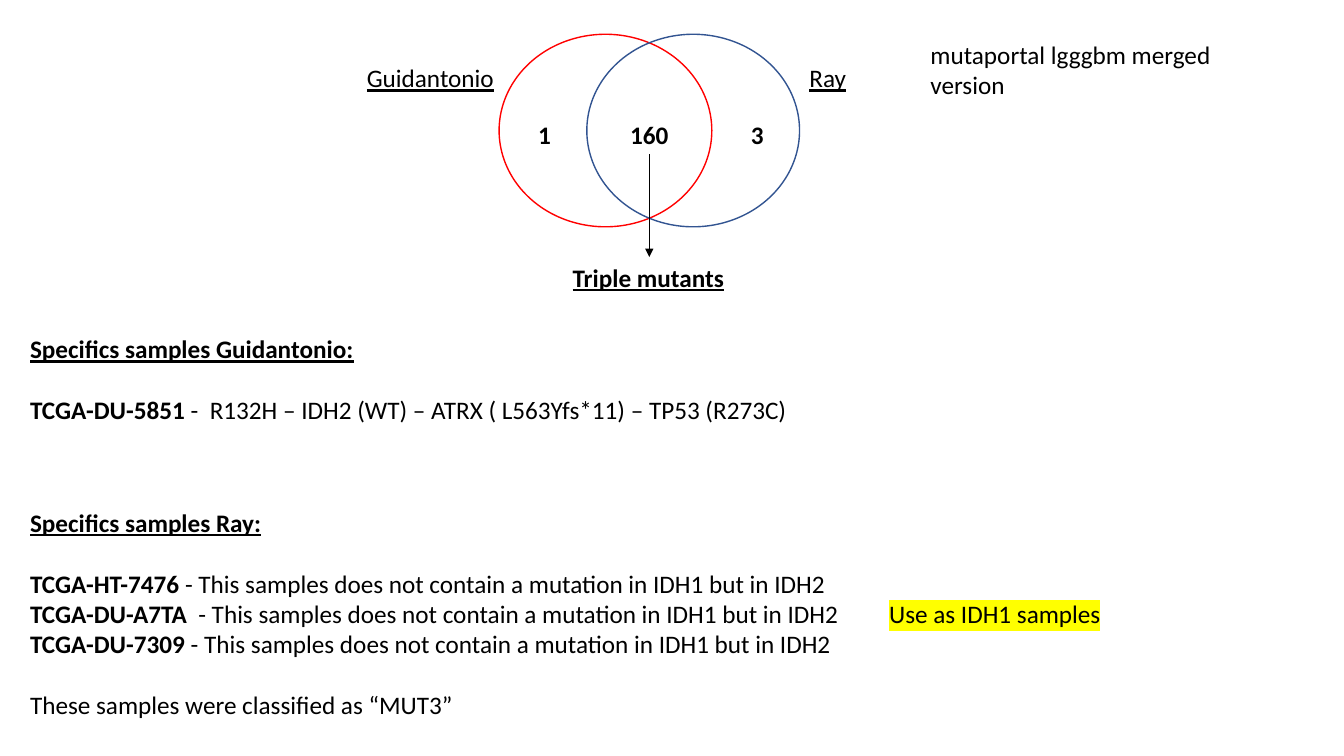
import collections

import lxml.etree
import pptx
import pptx.dml.color
import pptx.enum.shapes
import pptx.enum.text
import pptx.oxml
import pptx.oxml.ns
import pptx.util

PX = 9144  # EMU per px, 100 px to the inch
LINE_HEIGHT = 40

Box = collections.namedtuple("Box", "left top width height")
Words = collections.namedtuple("Words", "text bold underline", defaults=(False, False))
Line = collections.namedtuple("Line", "words gap", defaults=(False,))


class Theme:
    font = "Calibri"
    size = pptx.util.Pt(18)
    gap = pptx.util.Pt(22)
    ink = pptx.dml.color.RGBColor.from_string("000000")
    guidantonio = pptx.dml.color.RGBColor.from_string("FF0000")
    ray = pptx.dml.color.RGBColor.from_string("325491")
    highlight = "FFFF00"
    circle_line = pptx.util.Pt(1)
    arrow_line = pptx.util.Pt(0.5)


def emu(*lengths):
    return [length * PX for length in lengths]


def highlight(run):
    """Mark the run's background; the mark must precede the font element."""
    latin = run.font._element.find(pptx.oxml.ns.qn("a:latin"))
    mark = lxml.etree.Element(pptx.oxml.ns.qn("a:highlight"))
    colour = lxml.etree.SubElement(mark, pptx.oxml.ns.qn("a:srgbClr"))
    colour.set("val", Theme.highlight)
    latin.addprevious(mark)


def add_text(slide, box, lines, centred=False, marked=False):
    frame = slide.shapes.add_textbox(*emu(*box)).text_frame
    frame.word_wrap = True
    frame.auto_size = pptx.enum.text.MSO_AUTO_SIZE.SHAPE_TO_FIT_TEXT
    for index, line in enumerate(lines):
        paragraph = frame.add_paragraph() if index else frame.paragraphs[0]
        if centred:
            paragraph.alignment = pptx.enum.text.PP_ALIGN.CENTER
        if line.gap:
            paragraph.space_before = Theme.gap
        for words in line.words:
            run = paragraph.add_run()
            run.text = words.text
            run.font.size = Theme.size
            run.font.bold = words.bold
            run.font.underline = words.underline
            run.font.color.rgb = Theme.ink
            run.font.name = Theme.font
            if marked:
                highlight(run)


def add_label(slide, box, text, bold=False, underline=False, **look):
    add_text(slide, box, [Line([Words(text, bold, underline)])], **look)


def add_circle(slide, box, colour):
    circle = slide.shapes.add_shape(pptx.enum.shapes.MSO_SHAPE.OVAL, *emu(*box))
    circle.shadow.inherit = False
    circle.fill.background()
    circle.line.color.rgb = colour
    circle.line.width = Theme.circle_line


def add_down_arrow(slide, x, top, bottom):
    arrow = slide.shapes.add_connector(
        pptx.enum.shapes.MSO_CONNECTOR.STRAIGHT, *emu(x, top, x, bottom))
    arrow.line.color.rgb = Theme.ink
    arrow.line.width = Theme.arrow_line
    head = lxml.etree.SubElement(arrow.line._get_or_add_ln(), pptx.oxml.ns.qn("a:tailEnd"))
    head.set("type", "triangle")
    lxml.etree.SubElement(arrow._element.spPr, pptx.oxml.ns.qn("a:effectLst"))


def draw_venn(slide, box):
    """Two overlapping cohorts with their names, counts and shared group."""
    diameter = 211
    shift = box.width - diameter
    overlap = diameter - shift
    right = box.left + box.width
    centre = box.left + box.width // 2
    for left, colour in ((box.left, Theme.guidantonio), (box.left + shift, Theme.ray)):
        add_circle(slide, Box(left, box.top, diameter, box.height), colour)
    for left, name in ((box.left - 141, "Guidantonio"), (right, "Ray")):
        add_label(slide, Box(left, box.top + 23, 263, LINE_HEIGHT), name, underline=True)

    count_top = box.top + 79
    for middle, count in ((box.left + 45, "1"), (centre, "160"), (right - 42, "3")):
        add_label(slide, Box(middle - overlap // 2, count_top, overlap, LINE_HEIGHT),
                  count, bold=True, centred=True)

    shared_top = box.top + box.height + 30
    add_down_arrow(slide, centre, count_top + LINE_HEIGHT, shared_top)
    add_label(slide, Box(centre - 86, shared_top, 171, LINE_HEIGHT),
              "Triple mutants", bold=True, underline=True)


def draw_samples(slide, box, cohort, samples, closing=None):
    lines = [Line([Words(f"Specifics samples {cohort}:", True, True)])]
    for index, (sample, finding) in enumerate(samples):
        lines.append(Line([Words(sample, True), Words(finding)], gap=index == 0))
    if closing:
        lines.append(Line([Words(closing)], gap=True))
    add_text(slide, box, lines)


def main():
    presentation = pptx.Presentation()
    presentation.slide_width, presentation.slide_height = emu(1333, 750)
    slide = presentation.slides.add_slide(presentation.slide_layouts[6])

    draw_samples(
        slide, Box(20, 498, 1210, 222), "Ray",
        [(sample, "- This samples does not contain a mutation in IDH1 but in IDH2")
         for sample in ("TCGA-HT-7476 ", "TCGA-DU-A7TA  ", "TCGA-DU-7309 ")],
        closing="These samples were classified as “MUT3”")
    draw_samples(
        slide, Box(20, 326, 1210, 101), "Guidantonio",
        [("TCGA-DU-5851 ", "-  R132H – IDH2 (WT) – ATRX ( L563Yfs*11) – TP53 (R273C)")])
    draw_venn(slide, Box(495, 34, 298, 191))
    add_label(slide, Box(913, 34, 368, LINE_HEIGHT), "mutaportal lgggbm merged version")
    add_label(slide, Box(872, 589, 277, LINE_HEIGHT), "Use as IDH1 samples", marked=True)

    presentation.save("out.pptx")


if __name__ == "__main__":
    main()
